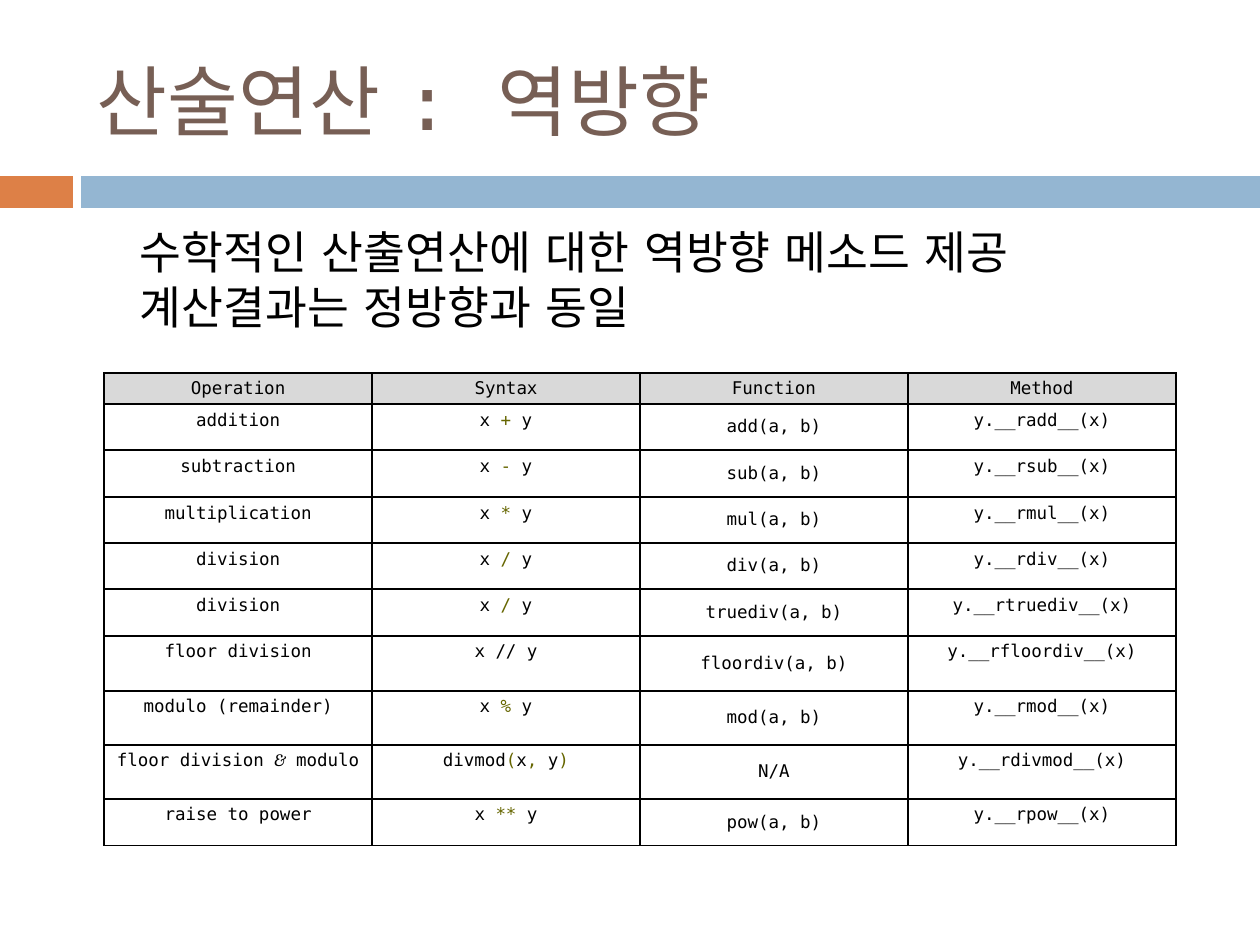
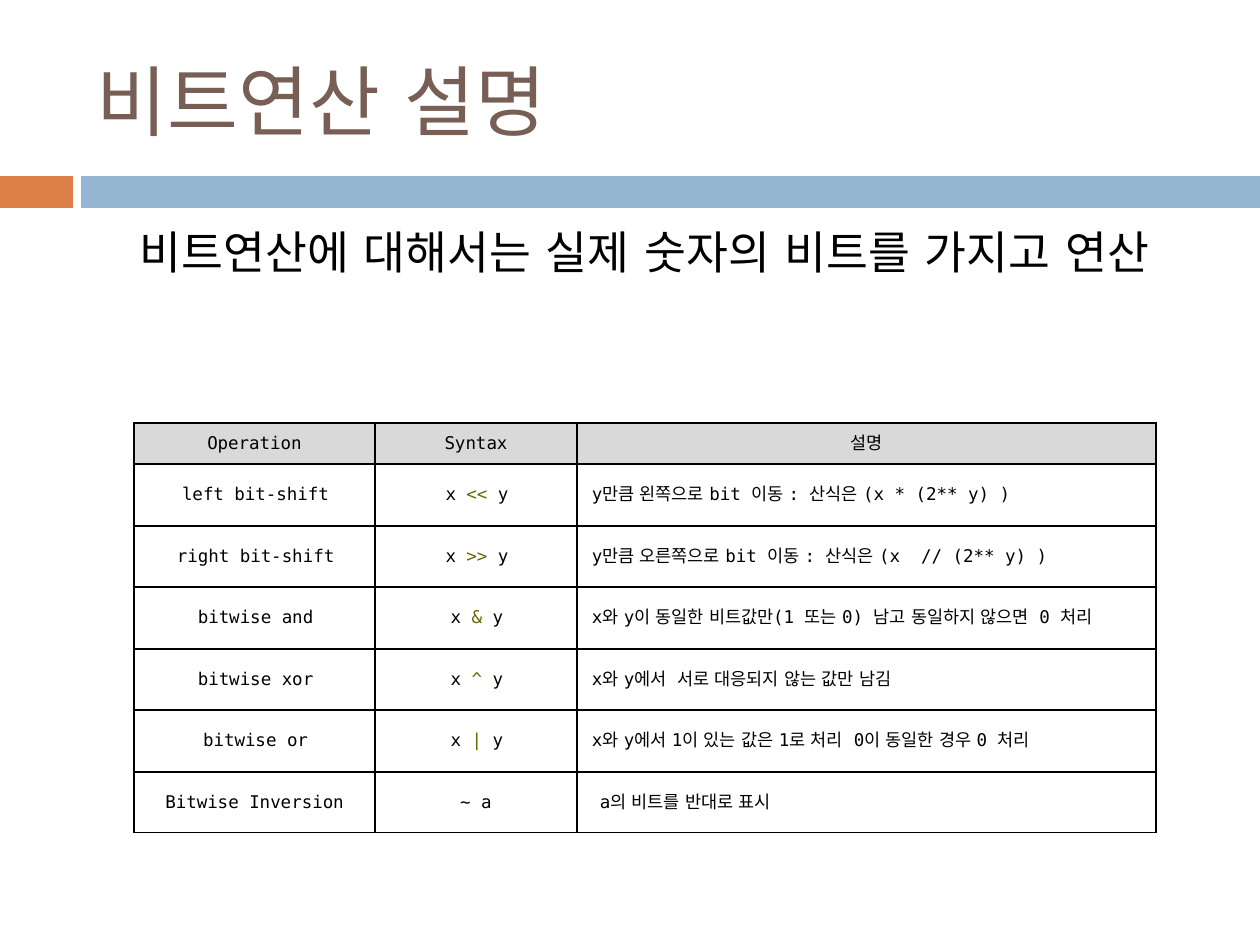
from itertools import product

from lxml import etree
from pptx import Presentation
from pptx.dml.color import RGBColor
from pptx.enum.shapes import MSO_SHAPE
from pptx.enum.text import MSO_ANCHOR, MSO_AUTO_SIZE, PP_ALIGN
from pptx.oxml.ns import qn
from pptx.util import Pt

RECTANGLE = MSO_SHAPE.RECTANGLE
TOP, MIDDLE = MSO_ANCHOR.TOP, MSO_ANCHOR.MIDDLE
LEFT, CENTER = PP_ALIGN.LEFT, PP_ALIGN.CENTER
NO_AUTOFIT = MSO_AUTO_SIZE.NONE

COLORS = {
    "title": "775F55",
    "text": "000000",
    "operator": "666600",
    "border": "000000",
    "header": "D9D9D9",
    "accent": "DD8047",
    "band": "94B6D2",
}
MONO, SERIF, KOREAN = "DejaVu Sans Mono", "Cambria", "DejaVu Sans"
SLIDE_SIZE = (1260, 945)
TITLE_BOX = (84, 32, 1124, 136)
BODY_BOX = (64, 218, 1134, 126)
BAND_BOX = (0, 176, 1260, 32)
TIGHT = (3, 1, 3, 1)
TABLE_TEXT = 10


def px(length):
    """Turn pixels at 126 to the inch into EMU."""
    return round(length * 914400 / 126)


def place(shape, box):
    """Move and size a shape to a box in px."""
    shape.left, shape.top, shape.width, shape.height = map(px, box)


def format_run(run, size, color, font=MONO):
    """Give a run its size, colour and Latin and East Asian font."""
    run.font.size = Pt(size)
    run.font.bold = False
    run.font.name = font
    run.font.color.rgb = RGBColor.from_string(COLORS[color])
    east_asian = etree.Element(qn("a:ea"), typeface=KOREAN)
    run.font._element.find(qn("a:latin")).addnext(east_asian)


def add_band(slide, layout, box):
    """Draw the accent block and long band, kept on the layout."""
    left, top, width, height = box
    accent_width, gap = 73, 8
    offset = accent_width + gap
    parts = [
        ((left, top, accent_width, height), "accent"),
        ((left + offset, top, width - offset, height), "band"),
    ]
    for part_box, color in parts:
        shape = slide.shapes.add_shape(RECTANGLE, *map(px, part_box))
        shape.shadow.inherit = False
        shape.fill.solid()
        shape.fill.fore_color.rgb = RGBColor.from_string(COLORS[color])
        shape.line.fill.background()
        layout.element.cSld.spTree.append(shape.element)


def add_heading(slide, title, body):
    """Fill the title and the unbulleted body line."""
    title_frame = slide.shapes.title.text_frame
    title_frame.text = title
    title_frame.vertical_anchor = MIDDLE
    body_frame = slide.placeholders[1].text_frame
    body_frame.text = body
    body_frame.vertical_anchor = TOP
    paragraph = body_frame.paragraphs[0]
    paragraph.level = 1
    properties = paragraph._p.get_or_add_pPr()
    properties.set("marL", str(px(63)))
    properties.set("indent", "0")
    etree.SubElement(properties, qn("a:buNone"))
    for frame, size, color in ((title_frame, 44, "title"), (body_frame, 26, "text")):
        frame.auto_size = NO_AUTOFIT
        frame.paragraphs[0].alignment = LEFT
        frame.paragraphs[0].space_before = Pt(0)
        format_run(frame.paragraphs[0].runs[0], size, color)


def add_borders(cell):
    """Draw a one point line on every side of a cell."""
    properties = cell._tc.get_or_add_tcPr()
    for side in ("lnL", "lnR", "lnT", "lnB"):
        line = etree.SubElement(properties, qn(f"a:{side}"), w=str(Pt(1)))
        fill = etree.SubElement(line, qn("a:solidFill"))
        etree.SubElement(fill, qn("a:srgbClr"), val=COLORS["border"])


def fill_cell(cell, content, column):
    """Write a cell; every second piece of a tuple is set off."""
    pieces = content if isinstance(content, tuple) else (content,)
    paragraph = cell.text_frame.paragraphs[0]
    for index, piece in enumerate(pieces):
        run = paragraph.add_run()
        run.text = piece
        marked = index % 2 == 1
        in_name = marked and column == 0
        color = "operator" if marked and not in_name else "text"
        format_run(run, TABLE_TEXT, color, SERIF if in_name else MONO)
        run.font.italic = in_name


def add_operator_table(slide, origin, widths, heights, rows, cell_style):
    """Add a bordered table; cell_style gives insets, anchor and alignment."""
    box = (*origin, sum(widths), sum(heights))
    table = slide.shapes.add_table(len(rows), len(widths), *map(px, box)).table
    table.first_row = table.horz_banding = False
    for column, width in zip(table.columns, widths):
        column.width = px(width)
    for table_row, height in zip(table.rows, heights):
        table_row.height = px(height)
    for row, column in product(range(len(rows)), range(len(widths))):
        cell = table.cell(row, column)
        add_borders(cell)
        if row == 0:
            cell.fill.solid()
            cell.fill.fore_color.rgb = RGBColor.from_string(COLORS["header"])
            insets, anchor, alignment = TIGHT, MIDDLE, CENTER
        else:
            cell.fill.background()
            insets, anchor, alignment = cell_style(row, column)
        margins = map(px, insets)
        cell.margin_left, cell.margin_top, cell.margin_right, cell.margin_bottom = margins
        cell.vertical_anchor = anchor
        fill_cell(cell, rows[row][column], column)
        cell.text_frame.paragraphs[0].alignment = alignment


def binary(operator):
    """Return the pieces of an infix expression."""
    return ("x ", operator, " y")


def arithmetic_style(row, column):
    """Centre all cells, with the functions in mid-height."""
    return (12, 6, 12, 6), MIDDLE if column == 2 else TOP, CENTER


def bitwise_style(row, column):
    """Align descriptions left, with tight insets in the inversion row."""
    alignment = LEFT if column == 2 else CENTER
    if row < 6:
        return (15, 6, 13, 6), MIDDLE, alignment
    return (23, 1, 3, 1) if column == 2 else TIGHT, MIDDLE, alignment


def build_arithmetic_slide(slide):
    """Show the reflected arithmetic methods."""
    add_heading(slide, "산술연산 : 역방향",
                "수학적인 산출연산에 대한 역방향 메소드 제공 계산결과는 정방향과 동일")
    operations = [
        ("addition", binary("+"), "add(a, b)", "radd"),
        ("subtraction", binary("-"), "sub(a, b)", "rsub"),
        ("multiplication", binary("*"), "mul(a, b)", "rmul"),
        ("division", binary("/"), "div(a, b)", "rdiv"),
        ("division", binary("/"), "truediv(a, b)", "rtruediv"),
        ("floor division", "x // y", "floordiv(a, b)", "rfloordiv"),
        ("modulo (remainder)", binary("%"), "mod(a, b)", "rmod"),
        (("floor division ", "&", " modulo"),
         ("divmod", "(", "x", ",", " y", ")"), "N/A", "rdivmod"),
        ("raise to power", binary("**"), "pow(a, b)", "rpow"),
    ]
    rows = [("Operation", "Syntax", "Function", "Method")]
    rows += [(*cells, f"y.__{method}__(x)") for *cells, method in operations]
    heights = [31, 46, 47, 46, 46, 47, 55, 54, 54, 47]
    add_operator_table(slide, (104, 373), [268] * 4, heights, rows, arithmetic_style)


def build_bitwise_slide(slide):
    """Explain the bitwise operators."""
    add_heading(slide, "비트연산 설명",
                "비트연산에 대해서는 실제 숫자의 비트를 가지고 연산")
    rows = [
        ("Operation", "Syntax", "설명"),
        ("left bit-shift", binary("<<"),
         "y만큼 왼쪽으로 bit 이동 : 산식은 (x * (2** y) )"),
        ("right bit-shift", binary(">>"),
         "y만큼 오른쪽으로 bit 이동 : 산식은 (x  // (2** y) )"),
        ("bitwise and", binary("&"),
         "x와 y이 동일한 비트값만(1 또는 0) 남고 동일하지 않으면  0 처리"),
        ("bitwise xor", binary("^"), "x와 y에서  서로 대응되지 않는 값만 남김"),
        ("bitwise or", binary("|"),
         "x와 y에서 1이 있는 값은 1로 처리  0이 동일한 경우 0 처리"),
        ("Bitwise Inversion", "~ a", "a의 비트를 반대로 표시"),
    ]
    heights = [41] + [62, 61] * 3
    add_operator_table(slide, (134, 423), [241, 202, 579], heights, rows, bitwise_style)


def main():
    """Build both slides on one shared layout and save them."""
    presentation = Presentation()
    presentation.slide_width, presentation.slide_height = map(px, SLIDE_SIZE)
    layout = presentation.slide_layouts[1]
    place(layout.placeholders[0], TITLE_BOX)
    place(layout.placeholders[1], BODY_BOX)
    arithmetic, bitwise = (presentation.slides.add_slide(layout) for _ in range(2))
    add_band(arithmetic, layout, BAND_BOX)
    build_arithmetic_slide(arithmetic)
    build_bitwise_slide(bitwise)
    presentation.save("out.pptx")


if __name__ == "__main__":
    main()
